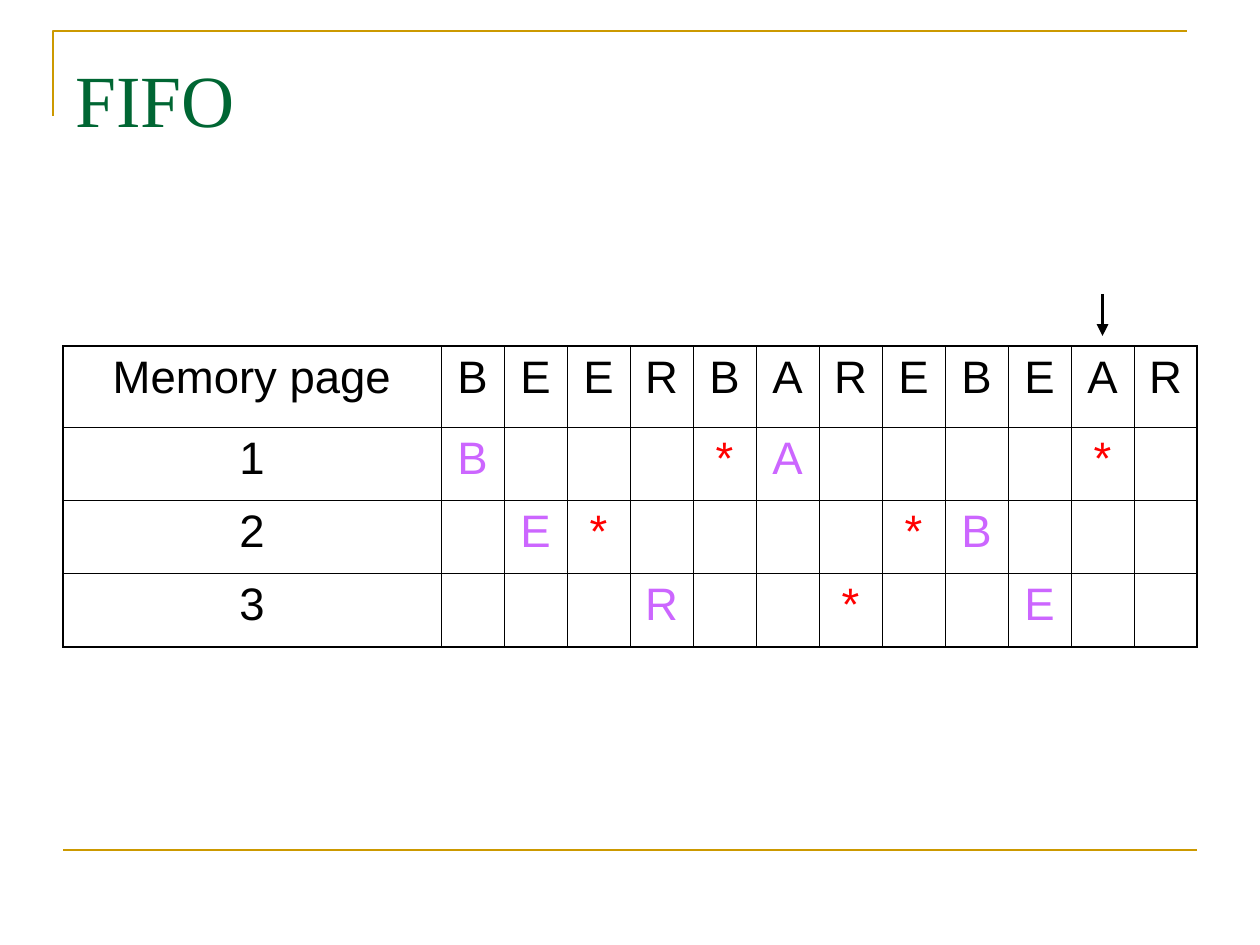
from dataclasses import dataclass

from lxml.etree import SubElement
from pptx import Presentation
from pptx.dml.color import RGBColor
from pptx.enum.shapes import MSO_CONNECTOR
from pptx.enum.text import MSO_ANCHOR, PP_ALIGN
from pptx.oxml.ns import qn
from pptx.util import Pt

TITLE = "FIFO"
HEADER = "Memory page"
REFERENCES = "BEERBAREBEAR"
# One string per memory page; a dot marks an empty cell.
PAGES = [
    ("1", "B...*A....*."),
    ("2", ".E*....*B..."),
    ("3", "...R..*..E.."),
]
POINTED_REFERENCE = 10

EMU_PER_PX = 914400 / 126
SLIDE_SIZE = (1260, 945)
TITLE_BOX = (63, 38, 1134, 157)
TITLE_TOP_INSET = 16
FRAME_CORNER = [(53, 116), (53, 31), (1187, 31)]
FOOTER_RULE = [(63, 850), (1197, 850)]
TABLE_LEFT, TABLE_TOP = 63, 346
LABEL_WIDTH, STEP_WIDTH = 378, 63
ROW_HEIGHTS = [81, 73, 73, 74]
ARROW_TOP, ARROW_BOTTOM = 294, 336


@dataclass(frozen=True)
class Theme:
    title_font: str = "Times New Roman"
    body_font: str = "Arial"
    title_size: float = 42
    body_size: float = 26
    title: str = "006633"
    text: str = "000000"
    loaded: str = "CC66FF"
    hit: str = "FF0000"
    accent: str = "CC9900"
    accent_width: float = 1.5
    arrow_width: float = 2.25
    outer_border: float = 1.08
    inner_border: float = 0.45


THEME = Theme()


def px(value):
    return round(value * EMU_PER_PX)


def format_font(font, name, size, color):
    for attribute, value in {"name": name, "size": Pt(size), "bold": False}.items():
        setattr(font, attribute, value)
    font.color.rgb = RGBColor.from_string(color)


def format_line(line, color, width):
    line.color.rgb = RGBColor.from_string(color)
    line.width = Pt(width)


def add_line(slide, start, end, color, width):
    connector = slide.shapes.add_connector(
        MSO_CONNECTOR.STRAIGHT, *map(px, (*start, *end)))
    format_line(connector.line, color, width)
    SubElement(connector._element.spPr, qn("a:effectLst"))
    return connector


def add_frame_corner(slide):
    start, *rest = FRAME_CORNER
    builder = slide.shapes.build_freeform(*start, scale=EMU_PER_PX)
    builder.add_line_segments(rest, close=False)
    corner = builder.convert_to_shape()
    corner.fill.background()
    corner.shadow.inherit = False
    format_line(corner.line, THEME.accent, THEME.accent_width)


def set_title(slide):
    title = slide.shapes.title
    title.left, title.top, title.width, title.height = map(px, TITLE_BOX)
    frame = title.text_frame
    frame.text = TITLE
    frame.vertical_anchor = MSO_ANCHOR.TOP
    frame.margin_top = px(TITLE_TOP_INSET)
    paragraph = frame.paragraphs[0]
    paragraph.alignment = PP_ALIGN.LEFT
    format_font(paragraph.runs[0].font, THEME.title_font, THEME.title_size, THEME.title)


def set_borders(cell, outer_sides):
    """Draw all four sides, thicker where outer_sides says so."""
    properties = cell._tc.get_or_add_tcPr()
    for side, is_outer in outer_sides.items():
        width = THEME.outer_border if is_outer else THEME.inner_border
        border = SubElement(properties, qn(f"a:ln{side}"), w=str(Pt(width)))
        fill = SubElement(border, qn("a:solidFill"))
        SubElement(fill, qn("a:srgbClr"), val=THEME.text)


def add_page_table(slide):
    rows = [[HEADER, *REFERENCES]]
    rows += [[label, *steps.replace(".", " ")] for label, steps in PAGES]
    widths = [LABEL_WIDTH] + [STEP_WIDTH] * len(REFERENCES)
    bounds = (TABLE_LEFT, TABLE_TOP, sum(widths), sum(ROW_HEIGHTS))
    table = slide.shapes.add_table(len(rows), len(widths), *map(px, bounds)).table
    table.first_row = table.horz_banding = False
    for column, width in zip(table.columns, widths):
        column.width = px(width)
    for row, height in zip(table.rows, ROW_HEIGHTS):
        row.height = px(height)

    for r, values in enumerate(rows):
        for c, value in enumerate(values):
            cell = table.cell(r, c)
            set_borders(cell, {"L": c == 0, "R": c == len(widths) - 1,
                               "T": r == 0, "B": r == len(rows) - 1})
            cell.fill.background()
            paragraph = cell.text_frame.paragraphs[0]
            paragraph.alignment = PP_ALIGN.CENTER
            if not value.strip():
                continue
            color = THEME.hit if value == "*" else THEME.loaded
            if r == 0 or c == 0:
                color = THEME.text
            run = paragraph.add_run()
            run.text = value
            format_font(run.font, THEME.body_font, THEME.body_size, color)


def add_reference_arrow(slide):
    x = TABLE_LEFT + LABEL_WIDTH + (POINTED_REFERENCE + 0.5) * STEP_WIDTH
    arrow = add_line(slide, (x, ARROW_TOP), (x, ARROW_BOTTOM),
                     THEME.text, THEME.arrow_width)
    SubElement(arrow.line._get_or_add_ln(), qn("a:tailEnd"), type="triangle")


def main():
    presentation = Presentation()
    presentation.slide_width, presentation.slide_height = map(px, SLIDE_SIZE)
    slide = presentation.slides.add_slide(presentation.slide_layouts[5])
    add_frame_corner(slide)
    add_line(slide, *FOOTER_RULE, THEME.accent, THEME.accent_width)
    set_title(slide)
    add_page_table(slide)
    add_reference_arrow(slide)
    presentation.save("out.pptx")


if __name__ == "__main__":
    main()
